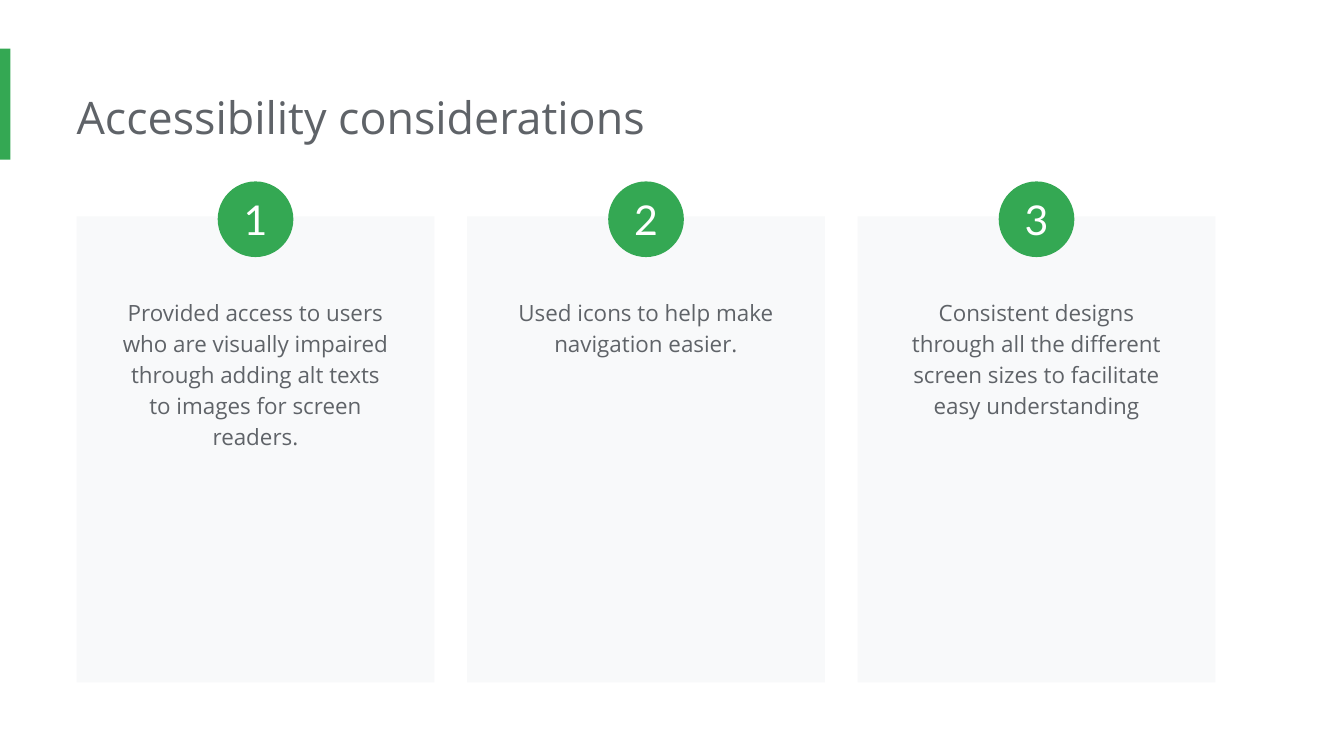
from dataclasses import dataclass

from pptx import Presentation
from pptx.dml.color import RGBColor
from pptx.enum.shapes import MSO_SHAPE
from pptx.enum.text import MSO_ANCHOR, MSO_AUTO_SIZE, PP_ALIGN
from pptx.shapes.autoshape import Shape
from pptx.slide import Slide
from pptx.util import Cm, Pt

COLORS = {"green": "34A853", "card": "F8F9FA", "text": "5F6368", "white": "FFFFFF"}

# Layout in centimetres
LEFT, TOP = 1.45, 4.09
WIDTH, HEIGHT = 6.76, 8.81
PITCH = 7.38
BADGE = 1.43
BODY = 5.69


@dataclass
class Box:
    left: float
    top: float
    width: float
    height: float

    def place(self) -> tuple:
        return Cm(self.left), Cm(self.top), Cm(self.width), Cm(self.height)


@dataclass
class Card:
    text: str
    height: float


CARDS = [
    Card("Provided access to users who are visually impaired through adding "
         "alt texts to images for screen readers.", 3.99),
    Card("Used icons to help make navigation easier.", 2.21),
    Card("Consistent designs through all the different screen sizes to "
         "facilitate easy understanding", 2.79),
]


def color(name: str) -> RGBColor:
    return RGBColor.from_string(COLORS[name])


def add_form(slide: Slide, kind: MSO_SHAPE, box: Box, fill: str) -> Shape:
    form = slide.shapes.add_shape(kind, *box.place())
    form.shadow.inherit = False
    form.fill.solid()
    form.fill.fore_color.rgb = color(fill)
    form.line.fill.background()
    return form


def set_text(shape: Shape, text: str, size: int, font: str, tone: str,
             align: PP_ALIGN, inset: float) -> None:
    frame = shape.text_frame
    frame.word_wrap = True
    frame.margin_left = frame.margin_right = Cm(inset)
    frame.margin_top = frame.margin_bottom = Cm(inset)
    line = frame.paragraphs[0]
    line.text = text
    line.alignment = align
    line.font.size = Pt(size)
    line.font.name = font
    line.font.color.rgb = color(tone)


def add_label(slide: Slide, box: Box, text: str, size: int,
              align: PP_ALIGN) -> Shape:
    label = slide.shapes.add_textbox(*box.place())
    set_text(label, text, size, "Open Sans", "text", align, 0.25)
    label.text_frame.auto_size = MSO_AUTO_SIZE.SHAPE_TO_FIT_TEXT
    return label


def add_card(slide: Slide, index: int, card: Card) -> None:
    left = LEFT + index * PITCH
    add_form(slide, MSO_SHAPE.RECTANGLE, Box(left, TOP, WIDTH, HEIGHT), "card")

    # Description
    box = Box(left + (WIDTH - BODY) / 2, 5.33, BODY, card.height)
    label = add_label(slide, box, card.text, 12, PP_ALIGN.CENTER)
    label.text_frame.paragraphs[0].line_spacing = 1.15

    # Number badge
    box = Box(left + (WIDTH - BADGE) / 2, 3.43, BADGE, BADGE)
    badge = add_form(slide, MSO_SHAPE.OVAL, box, "green")
    set_text(badge, str(index + 1), 22, "Lato", "white", PP_ALIGN.CENTER, 0)
    badge.text_frame.vertical_anchor = MSO_ANCHOR.MIDDLE


def main() -> None:
    deck = Presentation()
    deck.slide_width, deck.slide_height = Cm(25.4), Cm(14.29)
    slide = deck.slides.add_slide(deck.slide_layouts[6])

    # Accent bar and title
    add_form(slide, MSO_SHAPE.RECTANGLE, Box(0, 0.92, 0.2, 2.1), "green")
    title = add_label(slide, Box(LEFT, 1.45, 19.46, 1.55),
                      "Accessibility considerations", 24, PP_ALIGN.LEFT)
    title.text_frame.margin_left = 0

    # Numbered cards
    for index, card in enumerate(CARDS):
        add_card(slide, index, card)

    deck.save("out.pptx")


if __name__ == "__main__":
    main()
